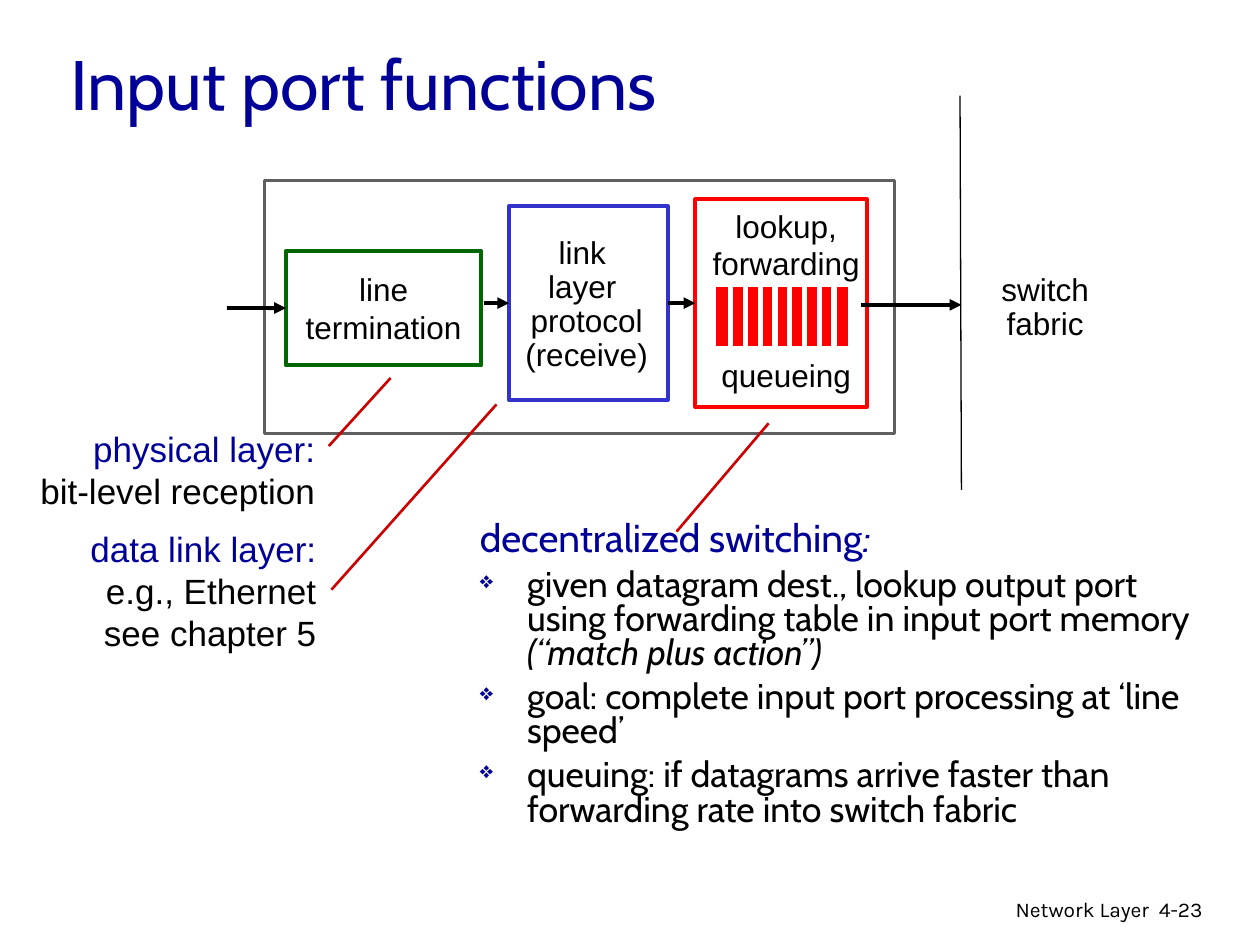
from lxml import etree
from pptx import Presentation
from pptx.dml.color import RGBColor
from pptx.enum.shapes import MSO_CONNECTOR, MSO_SHAPE
from pptx.enum.text import MSO_ANCHOR, PP_ALIGN
from pptx.oxml.ns import qn
from pptx.util import Pt

LEFT, CENTER, RIGHT = PP_ALIGN.LEFT, PP_ALIGN.CENTER, PP_ALIGN.RIGHT
TOP, MIDDLE = MSO_ANCHOR.TOP, MSO_ANCHOR.MIDDLE
RECT, STRAIGHT = MSO_SHAPE.RECTANGLE, MSO_CONNECTOR.STRAIGHT
SIDE_LEFT, SIDE_RIGHT = 1, 3

BLACK, WHITE, NAVY = "000000", "FFFFFF", "000099"
GRAY, GREEN, BLUE = "5F5F5F", "006600", "3333CC"
RED, DARK_RED = "FF0000", "CC0000"


def rgb(value):
    return RGBColor.from_string(value)


def add_bullet(p, char, color, percent):
    """Give a paragraph a coloured bullet sized relative to its text."""
    pPr = p._p.get_or_add_pPr()
    clr = etree.SubElement(pPr, qn("a:buClr"))
    etree.SubElement(clr, qn("a:srgbClr"), val=color)
    etree.SubElement(pPr, qn("a:buSzPct"), val=str(percent * 1000))
    etree.SubElement(pPr, qn("a:buChar"), char=char)


def add_paragraph(tf, *runs, size=18, font="Arial", color=BLACK, align=LEFT,
                  spacing=None, before=None, indent=0, bullet=None):
    """Add one paragraph; a run is its text, or a (text, italic) pair."""
    first = tf.paragraphs[0]
    p = tf.add_paragraph() if first.runs else first
    if indent:
        pPr = p._p.get_or_add_pPr()
        pPr.set("marL", str(Pt(indent)))
        pPr.set("indent", str(-Pt(indent)))
    if bullet:
        add_bullet(p, bullet, NAVY, 65)
    p.alignment = align
    if spacing:
        p.line_spacing = spacing
    if before:
        p.space_before = Pt(before)
    for run in runs:
        text, italic = (run, False) if isinstance(run, str) else run
        r = p.add_run()
        r.text = text
        r.font.size = Pt(size)
        r.font.name = font
        r.font.italic = italic
        r.font.color.rgb = rgb(color)


class SlideBuilder:
    def __init__(self, slide):
        self.shapes = slide.shapes

    def text_box(self, x, y, w, h, anchor=TOP, wrap=True):
        sp = self.shapes.add_textbox(Pt(x), Pt(y), Pt(w), Pt(h))
        tf = sp.text_frame
        tf.word_wrap = wrap
        tf.vertical_anchor = anchor
        return tf

    def box(self, x, y, w, h, line=None, width=2.25, fill=WHITE, shapes=None):
        sp = (shapes or self.shapes).add_shape(RECT, Pt(x), Pt(y), Pt(w), Pt(h))
        sp.shadow.inherit = False
        sp.fill.solid()
        sp.fill.fore_color.rgb = rgb(fill)
        if line:
            sp.line.color.rgb = rgb(line)
            sp.line.width = Pt(width)
        else:
            sp.line.fill.background()
        return sp

    def label(self, sp, *lines, spacing=None):
        """Centre lines of text inside a box."""
        tf = sp.text_frame
        tf.word_wrap = False
        tf.vertical_anchor = MIDDLE
        for line in lines:
            add_paragraph(tf, line, align=CENTER, spacing=spacing)

    def line(self, x1, y1, x2, y2, color=BLACK, width=2.25, shapes=None):
        c = (shapes or self.shapes).add_connector(
            STRAIGHT, Pt(x1), Pt(y1), Pt(x2), Pt(y2))
        c.line.color.rgb = rgb(color)
        c.line.width = Pt(width)
        etree.SubElement(c._element.spPr, qn("a:effectLst"))
        return c

    def arrow(self, x1, x2, y, source=None, target=None):
        """Draw a level arrow, joined to the boxes that are given."""
        c = self.line(x1, y, x2, y)
        etree.SubElement(c.line._get_or_add_ln(), qn("a:tailEnd"), type="triangle")
        if source:
            c.begin_connect(source, SIDE_RIGHT)
        if target:
            c.end_connect(target, SIDE_LEFT)

    def layer_note(self, x, y, w, h, heading, *lines):
        tf = self.text_box(x, y, w, h)
        add_paragraph(tf, heading, size=20, color=NAVY, align=RIGHT)
        for line in lines:
            add_paragraph(tf, line, size=20, align=RIGHT)

    def buffer(self, x, y, w, h, first, step, count):
        """Draw a queue as a red block cut into cells by white lines."""
        shapes = self.shapes.add_group_shape().shapes
        self.box(x, y, w, h, line=WHITE, width=3, fill=RED, shapes=shapes)
        for i in range(count):
            cut = first + i * step
            self.line(cut, y, cut, y + h - 1.5, WHITE, 3, shapes)


def main():
    prs = Presentation()
    prs.slide_width, prs.slide_height = Pt(720), Pt(540)
    s = SlideBuilder(prs.slides.add_slide(prs.slide_layouts[6]))

    footer = s.text_box(435.6, 509, 228.2, 22)
    add_paragraph(footer, "Network Layer", size=12, font="Karla", align=RIGHT)
    number = s.text_box(655.2, 509, 53.3, 22)
    add_paragraph(number, "4-23", size=12, font="Karla")

    # Stages of the input port
    s.box(151.2, 103, 360, 144.7, GRAY, 1.5)
    termination = s.box(163.4, 143.3, 111.6, 65.5, GREEN)
    s.label(termination, "line", "termination")
    link = s.box(290.9, 117.8, 90.7, 110.8, BLUE)
    lookup = s.box(397.4, 113.8, 97.9, 118.8, RED)

    s.arrow(129.6, 163.4, 176, target=termination)
    s.arrow(276.5, 290.9, 173.2, target=link)
    s.arrow(381.6, 397.4, 173.2, source=link, target=lookup)
    s.arrow(491.8, 549.4, 174.2)

    s.label(s.box(293.8, 141.8, 82.8, 65.5),
            "link ", "layer ", "protocol", "(receive)", spacing=0.9)
    tf = s.text_box(389.3, 114.5, 119.9, 115.2)
    for text, before in (("lookup,", None), ("forwarding", None), ("queueing", 42)):
        add_paragraph(tf, text, align=CENTER, before=before)

    title = s.text_box(33.1, 23, 612, 48.2, anchor=MIDDLE)
    add_paragraph(title, "Input port functions", size=40, font="Cabin", color=NAVY)

    body = s.text_box(267.1, 295.2, 429.8, 210.2)
    style = dict(font="Cabin", spacing=0.8, indent=27)
    add_paragraph(body, "decentralized switching", (":", True),
                  size=22.2, color=NAVY, **style)
    points = (
        ("given datagram dest., lookup output port using forwarding table "
         "in input port memory ", ("(“match plus action”)", True)),
        ("goal: complete input port processing at ‘line speed’",),
        ("queuing: if datagrams arrive faster than forwarding rate "
         "into switch fabric",),
    )
    for runs in points:
        add_paragraph(body, *runs, size=20.4, before=5.5, bullet="❖", **style)

    s.layer_note(5.2, 240.5, 182, 55.4, "physical layer:", "bit-level reception")
    s.layer_note(5.9, 298, 182, 79.2,
                 "data link layer:", "e.g., Ethernet", "see chapter 5")

    # Switch fabric boundary
    s.line(548.6, 54.7, 549.4, 280, width=0.75)
    s.label(s.box(555.8, 143.3, 82.8, 65.5), "switch", "fabric", spacing=0.9)

    s.buffer(407.5, 162.7, 78.5, 36.7, first=417.6, step=8.43, count=8)

    # Leader lines from the notes to the stages
    for ends in ((187.9, 254.9, 223.2, 216),
                 (189.4, 337, 283.7, 231.1),
                 (386.6, 303.8, 439.2, 241.9)):
        s.line(*ends, color=DARK_RED, width=1.5)

    prs.save("out.pptx")


if __name__ == "__main__":
    main()
